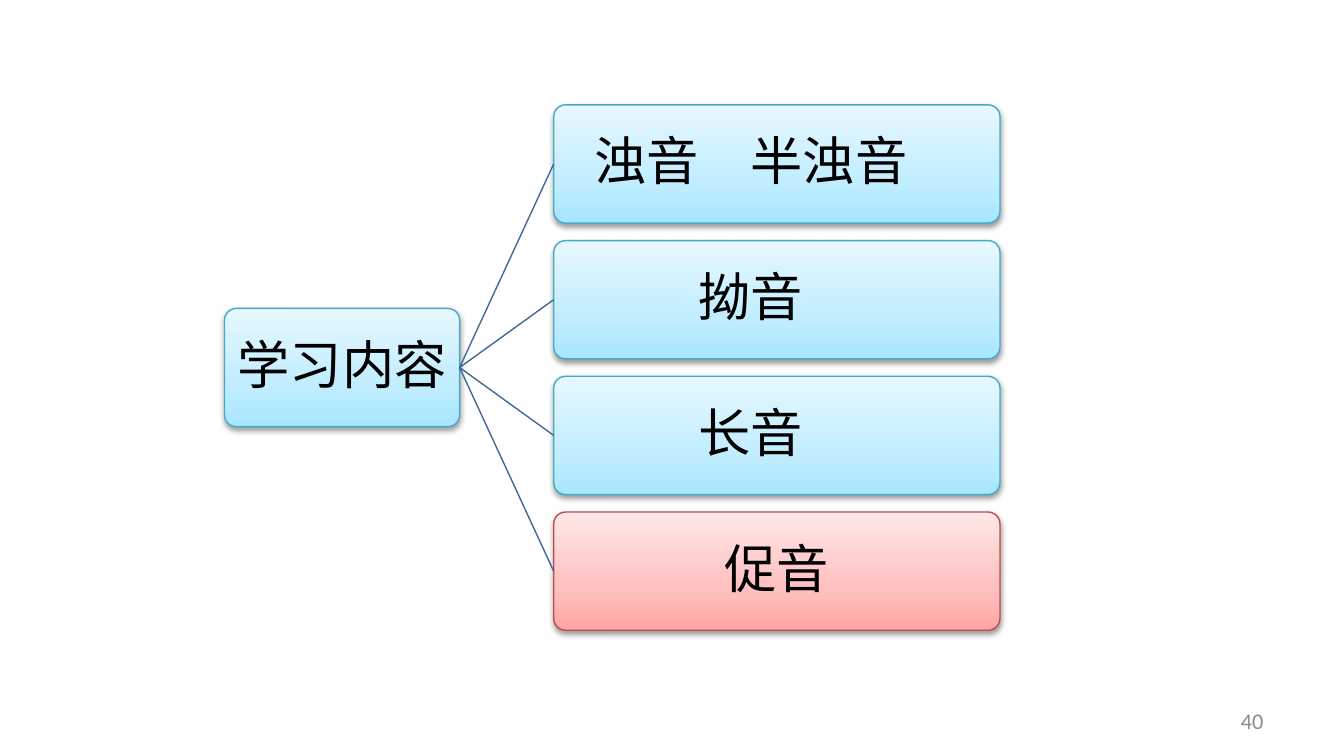
"""Build a study-content slide: one topic branching to four sound types."""
from dataclasses import dataclass

from lxml import etree
from pptx import Presentation
from pptx import util as u
from pptx.dml.color import RGBColor
from pptx.enum import shapes, text
from pptx.oxml import ns

TOPIC = "学习内容"
BRANCHES = [
    ("浊音　半浊音　", "blue"),
    ("拗音　", "blue"),
    ("长音　", "blue"),
    ("促音", "red"),
]
PAGE_NUMBER = "40"

SLIDE_WIDTH = 10
SLIDE_HEIGHT = SLIDE_WIDTH * 9 / 16
TOPIC_LEFT, TOPIC_WIDTH = 1.67, 1.75
BRANCH_LEFT, BRANCH_WIDTH = 4.12, 3.32
BRANCH_TOP, BOX_HEIGHT, BOX_GAP = 0.78, 0.88, 0.13


@dataclass(frozen=True)
class Theme:
    gradients = {
        "blue": [(0, "A7E6FF"), (35, "C1EDFF"), (100, "E7F8FF")],
        "red": [(0, "FFA6A5"), (35, "FFC0BF"), (100, "FFE7E7")],
    }
    outlines = {"blue": "46AAC5", "red": "BF4C48"}
    connector = "3F6797"
    shadow = "000000"
    label, label_font, label_size = "000000", "Noto Sans CJK SC", 28
    number, number_font, number_size = "8C8C8C", "Calibri", 12
    line_width = 0.75


THEME = Theme()


def add_element(parent, tag, **attributes):
    element = etree.SubElement(parent, ns.qn(tag))
    for name, value in attributes.items():
        element.set(name, str(value))
    return element


def write_text(shape, content, *, font, size, color, align, margin, spacing=1.0):
    frame = shape.text_frame
    frame.word_wrap = True
    frame.vertical_anchor = text.MSO_ANCHOR.MIDDLE
    frame.margin_left = frame.margin_right = u.Inches(margin)
    frame.margin_top = frame.margin_bottom = u.Inches(0.05)
    paragraph = frame.paragraphs[0]
    paragraph.alignment = align
    paragraph.line_spacing = spacing
    run = paragraph.add_run()
    run.text = content
    run.font.name = font
    run.font.size = u.Pt(size)
    run.font.color.rgb = RGBColor.from_string(color)
    add_element(run.font._element, "a:ea", typeface=font)


def style_line(line, color):
    line.color.rgb = RGBColor.from_string(color)
    line.width = u.Pt(THEME.line_width)


def style_box(shape, palette):
    shape.fill.gradient()
    shape.fill.gradient_angle = 90
    properties = shape._element.spPr
    stops = properties.find(".//" + ns.qn("a:gsLst"))
    for stop in list(stops):
        stops.remove(stop)
    for position, color in THEME.gradients[palette]:
        stop = add_element(stops, "a:gs", pos=position * 1000)
        add_element(stop, "a:srgbClr", val=color)
    style_line(shape.line, THEME.outlines[palette])
    shape.shadow.inherit = False
    shadow = add_element(
        properties.find(ns.qn("a:effectLst")), "a:outerShdw",
        blurRad=u.Pt(3.1), dist=u.Pt(1.6), dir=5400000, rotWithShape=0)
    shadow_color = add_element(shadow, "a:srgbClr", val=THEME.shadow)
    add_element(shadow_color, "a:alpha", val=38000)


def add_box(slide, content, palette, left, top, width):
    box = slide.shapes.add_shape(
        shapes.MSO_SHAPE.ROUNDED_RECTANGLE,
        u.Inches(left), u.Inches(top), u.Inches(width), u.Inches(BOX_HEIGHT))
    box.adjustments[0] = 0.1
    style_box(box, palette)
    write_text(box, content, font=THEME.label_font, size=THEME.label_size,
               color=THEME.label, align=text.PP_ALIGN.CENTER, margin=0.05, spacing=0.9)
    return box


def join(slide, start, end):
    connector = slide.shapes.add_connector(shapes.MSO_CONNECTOR.STRAIGHT, 0, 0, 0, 0)
    connector.begin_connect(start, 3)
    connector.end_connect(end, 1)
    style_line(connector.line, THEME.connector)
    add_element(connector._element.spPr, "a:effectLst")


def main():
    presentation = Presentation()
    presentation.slide_width = u.Inches(SLIDE_WIDTH)
    presentation.slide_height = u.Inches(SLIDE_HEIGHT)
    slide = presentation.slides.add_slide(presentation.slide_layouts[6])

    number = slide.shapes.add_textbox(
        u.Inches(7.17), u.Inches(5.21), u.Inches(2.33), u.Inches(0.3))
    write_text(number, PAGE_NUMBER, font=THEME.number_font, size=THEME.number_size,
               color=THEME.number, align=text.PP_ALIGN.RIGHT, margin=0.1)

    step = BOX_HEIGHT + BOX_GAP
    topic_top = BRANCH_TOP + step * (len(BRANCHES) - 1) / 2
    topic = add_box(slide, TOPIC, "blue", TOPIC_LEFT, topic_top, TOPIC_WIDTH)
    for index, (label, palette) in enumerate(BRANCHES):
        top = BRANCH_TOP + index * step
        branch = add_box(slide, label, palette, BRANCH_LEFT, top, BRANCH_WIDTH)
        join(slide, topic, branch)

    presentation.save("out.pptx")


if __name__ == "__main__":
    main()
